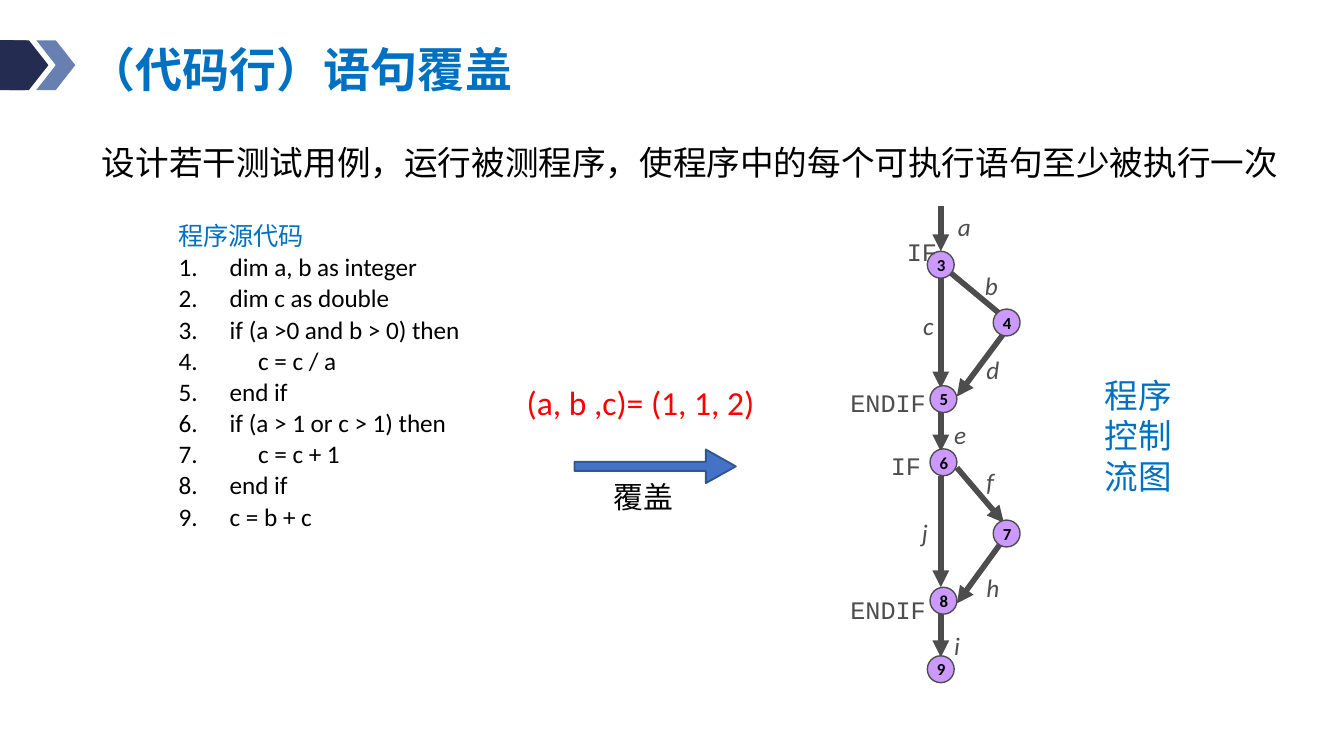
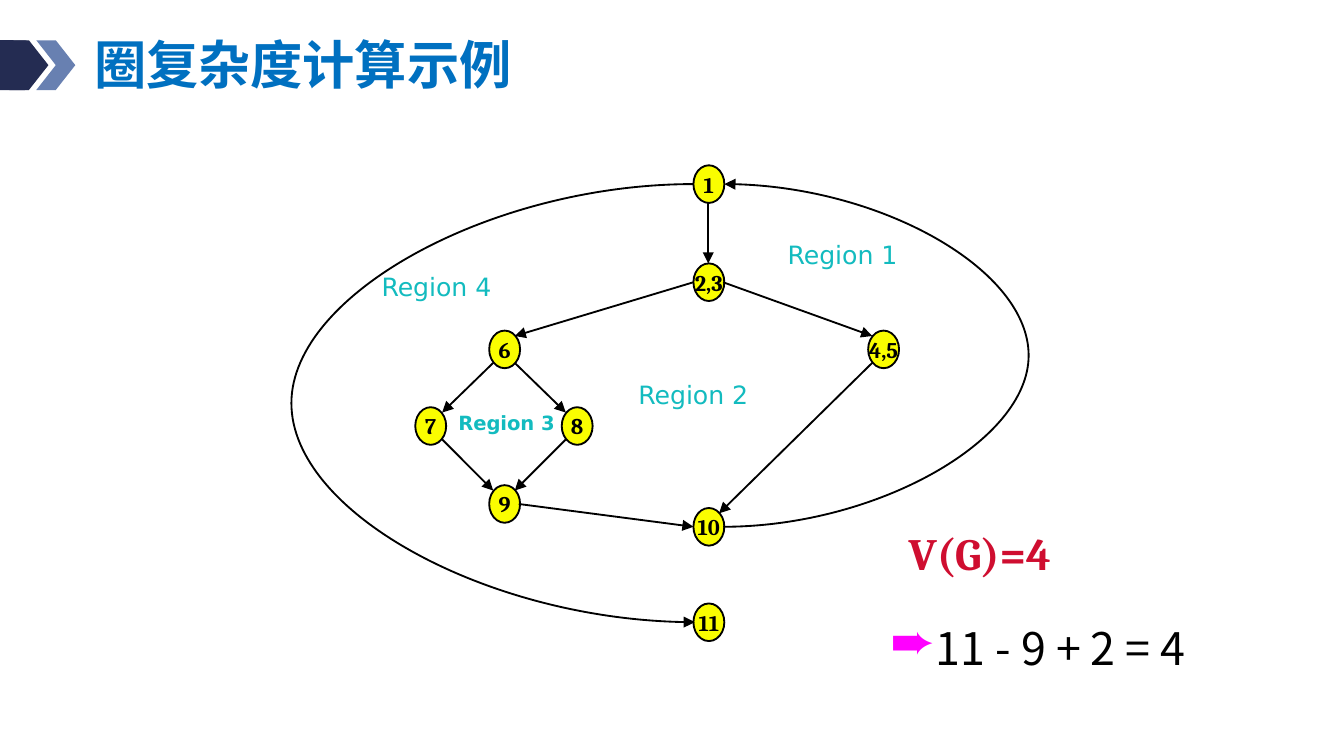
"""Build two slides on statement coverage and cyclomatic complexity."""
from lxml import etree
from pptx import Presentation
from pptx import util as u
from pptx.dml.color import RGBColor
from pptx.enum import shapes as es, text as et
from pptx.oxml import ns

PX = 9144
BLUE, BLACK, GRAY, NAVY, TEAL = "0070C0", "000000", "4D4D4D", "242C52", "13BBBF"
HAN = "Noto Sans CJK SC"
SNUG = (7, 4, 7, 4)
SHAPE = es.MSO_SHAPE
MIDDLE = et.MSO_ANCHOR.MIDDLE

BANDS = [
    (SHAPE.ROUNDED_RECTANGLE, (-13, 30, 35, 37), NAVY, 0.1),
    (SHAPE.CHEVRON, (27, 30, 29, 37), "6880B1", 0.5),
    (SHAPE.CHEVRON, (7, 30, 29, 37), NAVY, 0.5),
]

COVERAGE_TITLE = "（代码行）语句覆盖"
DEFINITION = "设计若干测试用例，运行被测程序，使程序中的每个可执行语句至少被执行一次"
SOURCE_HEAD = "程序源代码"
SOURCE_LINES = [
    "1.\tdim a, b as integer",
    "dim c as double",
    "if (a >0 and b > 0) then",
    "     c = c / a",
    "end if",
    "if (a > 1 or c > 1) then",
    "     c = c + 1",
    "end if",
    "c = b + c",
]
STATEMENTS = {"3": (690, 187), "4": (739, 230), "5": (692, 287), "6": (692, 334),
              "7": (739, 387), "8": (692, 437), "9": (690, 488)}
FLOWS = [
    (700, 153, 700, 187), (747, 248, 712, 295), (700, 301, 700, 336),
    (700, 454, 700, 489), (700, 206, 700, 289), (712, 348, 747, 389),
    (747, 401, 712, 449), (700, 354, 700, 437),
]
PLAIN_FLOW = (700, 197, 747, 236)
KEYWORDS = [("IF", 665, 171, 43), ("IF", 653, 330, 43),
            ("ENDIF", 623, 283, 77), ("ENDIF", 623, 437, 77)]
FLOW_NAMES = [("a", 703, 152, 30), ("b", 723, 196, 30), ("c", 677, 226, 28),
              ("d", 724, 259, 30), ("e", 700, 307, 29), ("f", 724, 342, 26),
              ("j", 676, 380, 25), ("h", 724, 421, 30), ("i", 700, 464, 25)]

COMPLEXITY_TITLE = "圈复杂度计算示例"
GRAPH_NODES = {"1": (516, 123), "2,3": (516, 196), "6": (364, 246),
               "4,5": (646, 246), "7": (309, 303), "8": (418, 303),
               "9": (364, 361), "10": (516, 378), "11": (516, 449)}
GRAPH_EDGES = [
    (538, 210, 649, 250), (527, 151, 527, 196), (516, 210, 383, 250),
    (383, 270, 421, 307), (367, 270, 329, 307), (329, 327, 367, 365),
    (421, 327, 383, 365), (386, 375, 516, 392), (649, 270, 535, 382),
]
LOOPS = [((538, 392, 539, 137), 231), ((516, 137, 517, 463), -304)]
REGIONS = [("Region 1", (579, 174, 98, 30), 13.5, False, SNUG),
           ("Region 2", (468, 278, 98, 30), 13.5, False, SNUG),
           ("Region 3", (334, 302, 88, 25), 10.5, True, SNUG),
           ("Region 4", (274, 197, 102, 33), 13.5, False, (10, 5, 10, 5))]


def px(*lengths):
    return [u.Emu(length * PX) for length in lengths]


def rgb(code):
    return RGBColor.from_string(code)


def add_xml(parent, tag, **attributes):
    return etree.SubElement(parent, ns.qn(tag), attributes)


def write(frame, *lines, size, font="Calibri", color=BLACK, bold=None, italic=None,
          align=None, anchor=None, inset=(10, 5, 10, 5), wrap=True, grow=False,
          spacing=None):
    frame.word_wrap = wrap
    frame.auto_size = (et.MSO_AUTO_SIZE.SHAPE_TO_FIT_TEXT if grow
                       else et.MSO_AUTO_SIZE.NONE)
    frame.margin_left, frame.margin_top, frame.margin_right, frame.margin_bottom = px(*inset)
    if anchor is not None:
        frame.vertical_anchor = anchor
    for index, line in enumerate(lines):
        paragraph = frame.add_paragraph() if index else frame.paragraphs[0]
        paragraph.alignment = align
        if spacing:
            paragraph.line_spacing = spacing
        run = paragraph.add_run()
        run.text = line
        run.font.size, run.font.name = u.Pt(size), font
        run.font.bold, run.font.italic = bold, italic
        run.font.color.rgb = rgb(color)
        add_xml(run.font._element, "a:ea", typeface=HAN)
    return frame.paragraphs


def add_label(slide, box, *lines, **style):
    label = slide.shapes.add_textbox(*px(*box))
    return write(label.text_frame, *lines, grow=True, **style)


def add_solid(slide, kind, box, fill, line=None, width=1):
    solid = slide.shapes.add_shape(kind, *px(*box))
    solid.shadow.inherit = False
    solid.fill.solid()
    solid.fill.fore_color.rgb = rgb(fill)
    if line:
        solid.line.color.rgb = rgb(line)
        solid.line.width = u.Pt(width)
    else:
        solid.line.fill.background()
    return solid


def add_edge(slide, ends, color, width, arrow=True, kind=es.MSO_CONNECTOR.STRAIGHT):
    edge = slide.shapes.add_connector(kind, *px(*ends))
    edge.line.color.rgb = rgb(color)
    edge.line.width = u.Pt(width)
    if arrow:
        add_xml(edge.line._get_or_add_ln(), "a:tailEnd", type="triangle")
    add_xml(edge.element.spPr, "a:effectLst")
    return edge


def add_loop(slide, ends, bulge):
    loop = add_edge(slide, ends, BLACK, 1, kind=es.MSO_CONNECTOR.CURVE)
    guides = loop.element.spPr.find(ns.qn("a:prstGeom")).get_or_add_avLst()
    add_xml(guides, "a:gd", name="adj1", fmla=f"val {bulge * 100000}")


def hang(paragraph, left, first):
    properties = paragraph._p.get_or_add_pPr()
    properties.set("marL", str(left * PX))
    properties.set("indent", str(first * PX))
    return properties


def set_title(slide, title, box, **style):
    slide.shapes.title.left, slide.shapes.title.top, \
        slide.shapes.title.width, slide.shapes.title.height = px(*box)
    write(slide.shapes.title.text_frame, title, font=HAN, color=BLUE, bold=True,
          align=et.PP_ALIGN.LEFT, anchor=MIDDLE, spacing=0.9, **style)


def add_bands(slide):
    """Draw the title bands and move them to the layout that the slides share."""
    for index, (kind, box, fill, bend) in enumerate(BANDS):
        band = add_solid(slide, kind, box, fill)
        band.adjustments[0] = bend
        band.element.nvSpPr.cNvPr.set("id", str(20 + index))
        slide.slide_layout.shapes.element.append(band.element)


def build_coverage(slide):
    set_title(slide, COVERAGE_TITLE, (66, 32, 425, 44), size=25.2, inset=(0, 0, 0, 0))
    add_label(slide, (66, 86, 907, 55), DEFINITION, size=18, spacing=1.5)

    for ends in FLOWS:
        add_edge(slide, ends, GRAY, 3)
    add_edge(slide, PLAIN_FLOW, GRAY, 3, arrow=False)
    for number, corner in STATEMENTS.items():
        node = add_solid(slide, SHAPE.OVAL, (*corner, 20, 20), "CC99FF", GRAY, 0.75)
        write(node.text_frame, number, size=9, bold=True, anchor=MIDDLE, wrap=False)
    for names, style in ((KEYWORDS, {"font": "Courier New"}),
                         (FLOW_NAMES, {"italic": True})):
        for name, left, top, width in names:
            add_label(slide, (left, top, width, 33), name, size=13.5, color=GRAY,
                      wrap=False, **style)

    listing = add_label(slide, (126, 160, 313, 241), SOURCE_HEAD, *SOURCE_LINES,
                        size=13.5, inset=SNUG)
    head = listing[0].runs[0].font
    head.name, head.color.rgb = HAN, rgb(BLUE)
    for index, paragraph in enumerate(listing):
        properties = hang(paragraph, 38, -38)
        if index:
            paragraph.space_before = u.Pt(0.5)
        if index > 1:
            add_xml(properties, "a:buFont", typeface="+mj-lt")
            add_xml(properties, "a:buAutoNum", type="arabicPeriod", startAt="2")

    add_label(slide, (815, 275, 79, 98), "程序控制流图", size=18, font=HAN,
              color=BLUE, inset=SNUG)
    add_label(slide, (382, 279, 192, 40), "(a, b ,c)= (1, 1, 2)", size=18,
              color="FF0000", wrap=False)
    arrow = add_solid(slide, SHAPE.DOWN_ARROW, (475, 287, 25, 120), "4472C4", "325491")
    arrow.rotation = 270
    arrow.adjustments[0], arrow.adjustments[1] = 0.27, 0.89
    add_label(slide, (447, 351, 64, 37), "覆盖", size=16, font=HAN, wrap=False)


def build_complexity(slide):
    set_title(slide, COMPLEXITY_TITLE, (63, 9, 492, 83), size=28, inset=SNUG)
    add_label(slide, (669, 387, 123, 48), "V(G)=4", size=24, font="Cambria",
              color="CF0E30", bold=True, inset=SNUG, wrap=False)
    for number, corner in GRAPH_NODES.items():
        node = add_solid(slide, SHAPE.OVAL, (*corner, 23, 28), "FAFD00", BLACK)
        write(node.text_frame, number, size=12, font="Cambria", bold=True, inset=SNUG,
              align=et.PP_ALIGN.CENTER, anchor=MIDDLE, wrap=False)
    for region, box, size, bold, inset in REGIONS:
        add_label(slide, box, region, size=size, font="DejaVu Sans", color=TEAL,
                  bold=bold, inset=inset, wrap=False)
    for ends, bulge in LOOPS:
        add_loop(slide, ends, bulge)
    for ends in GRAPH_EDGES:
        add_edge(slide, ends, BLACK, 1)

    formula, = add_label(slide, (615, 437, 378, 71), "11 - 9 + 2 = 4", size=24,
                         font=HAN, spacing=1.5)
    properties = hang(formula, 61, -23)
    add_xml(add_xml(properties, "a:buClr"), "a:srgbClr", val="FF00FF")
    add_xml(properties, "a:buSzPct", val="120000")
    add_xml(properties, "a:buChar", char="➨")


def main():
    deck = Presentation()
    deck.slide_width, = px(1000)
    deck.slide_height = u.Emu(deck.slide_width * 9 // 16)
    coverage, complexity = (deck.slides.add_slide(deck.slide_layouts[5]) for _ in range(2))
    add_bands(coverage)
    build_coverage(coverage)
    build_complexity(complexity)
    deck.save("out.pptx")


if __name__ == "__main__":
    main()
